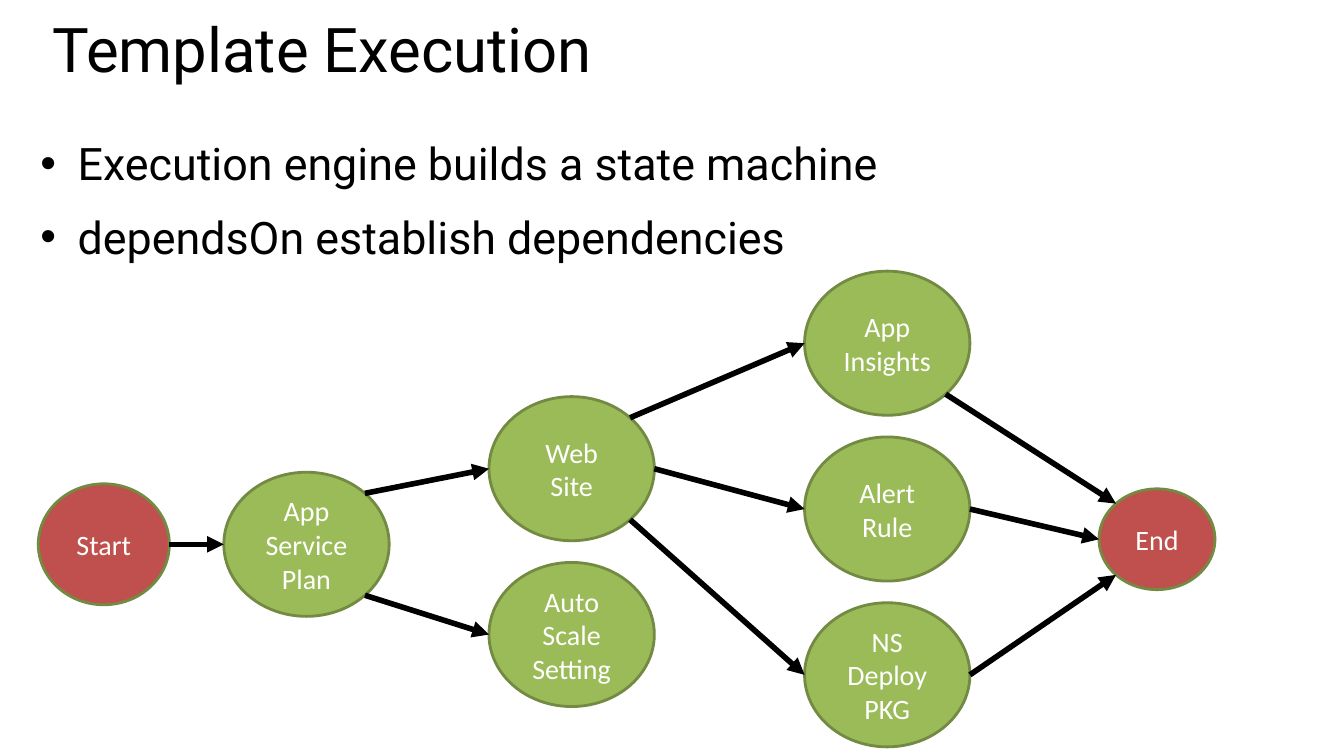
"""Build the Template Execution slide with its state machine diagram."""
from math import cos, radians, sin

from pptx import Presentation
from pptx.dml.color import RGBColor as Rgb
from pptx.enum.shapes import MSO_CONNECTOR as Conn, MSO_SHAPE as Shape
from pptx.enum.text import MSO_ANCHOR as Anchor, MSO_AUTO_SIZE as Fit, PP_ALIGN as Align
from pptx.oxml.ns import qn
from pptx.util import Inches, Pt

TITLE = "Template Execution"
POINTS = ["Execution engine builds a state machine", "dependsOn establish dependencies"]
COLORS = {"ink": "000000", "text": "FFFFFF", "edge": "738A42", "step": "9BBB59", "stop": "C0504D"}
SIZE = (13.33, 7.5)
STEP = (1.64, 1.43)
COLS = [1.03, 3.04, 5.67, 8.8, 11.475]
ROW = 1.645

# name: (text, column, middle, size, fill)
NODES = {
    "start": ("Start", 0, 5.4, (1.3, 1.2), "stop"),
    "plan": ("App Service Plan", 1, 5.4, STEP, "step"),
    "end": ("End", 4, 5.35, (1.15, 1), "stop"),
    "scale": ("Auto Scale Setting", 2, 4.65 + ROW, STEP, "step"),
    "site": ("Web\nSite", 2, 4.65, STEP, "step"),
    "alert": ("Alert Rule", 3, 5.05, STEP, "step"),
    "app": ("App Insights", 3, 5.05 - ROW, STEP, "step"),
    "pkg": ("NS Deploy PKG", 3, 5.05 + ROW, STEP, "step"),
}
EAST, SOUTHEAST, SOUTHWEST, WEST, NORTHWEST, NORTHEAST = 0, 45, 135, 180, 225, 315
LINKS = [
    ("start", EAST, "plan", WEST),
    ("plan", SOUTHEAST, "scale", WEST),
    ("plan", NORTHEAST, "site", WEST),
    ("site", NORTHEAST, "app", WEST),
    ("site", EAST, "alert", WEST),
    ("site", SOUTHEAST, "pkg", WEST),
    ("alert", EAST, "end", WEST),
    ("app", SOUTHEAST, "end", NORTHWEST),
    ("pkg", EAST, "end", SOUTHWEST),
]


def place(shape, *box):
    shape.left, shape.top, shape.width, shape.height = map(Inches, box)


def style(frame, font, size, color, align):
    for para in frame.paragraphs:
        para.alignment = align
        for run in para.runs:
            run.font.name, run.font.size = font, Pt(size)
            run.font.color.rgb = Rgb.from_string(COLORS[color])


def fill_holder(holder, text, box, size):
    place(holder, *box)
    frame = holder.text_frame
    frame.text = text
    frame.auto_size = Fit.NONE
    frame.vertical_anchor = Anchor.TOP
    style(frame, "Roboto", size, "ink", Align.LEFT)
    return frame.paragraphs


def add_node(slide, text, col, mid, size, fill):
    wide, high = size
    box = (COLS[col] - wide / 2, mid - high / 2, wide, high)
    node = slide.shapes.add_shape(Shape.OVAL, *map(Inches, box))
    node.shadow.inherit = False
    node.fill.solid()
    node.fill.fore_color.rgb = Rgb.from_string(COLORS[fill])
    node.line.color.rgb = Rgb.from_string(COLORS["edge"])
    node.line.width = Pt(2)
    frame = node.text_frame
    frame.text = text
    frame.word_wrap = True
    frame.vertical_anchor = Anchor.MIDDLE
    style(frame, "Calibri", 20, "text", Align.CENTER)


def rim(name, angle):
    _, col, mid, (wide, high), _ = NODES[name]
    turn = radians(angle)
    return Inches(COLS[col] + wide / 2 * cos(turn)), Inches(mid + high / 2 * sin(turn))


def add_link(slide, tail, exit, head, entry):
    link = slide.shapes.add_connector(Conn.STRAIGHT, *rim(tail, exit), *rim(head, entry))
    link.line.color.rgb = Rgb.from_string(COLORS["ink"])
    link.line.width = Pt(4)
    line = link.line._get_or_add_ln()
    line.append(line.makeelement(qn("a:tailEnd"), {"type": "triangle"}))
    props = link._element.spPr
    props.append(props.makeelement(qn("a:effectLst"), {}))


def main():
    deck = Presentation()
    deck.slide_width, deck.slide_height = map(Inches, SIZE)
    slide = deck.slides.add_slide(deck.slide_layouts[1])
    title, body = slide.placeholders
    fill_holder(title, TITLE, (0.42, 0.2, 12.6, 1.16), 44)[0].line_spacing = 0.8
    for para in fill_holder(body, "\n".join(POINTS), (0.3, 1.3, 12.74, 1.52), 32):
        para.space_before = Pt(14)
        props = para._p.get_or_add_pPr()
        props.set("marL", str(Inches(0.37)))
        props.set("indent", str(Inches(-0.37)))
    for node in NODES.values():
        add_node(slide, *node)
    for link in LINKS:
        add_link(slide, *link)
    deck.save("out.pptx")


if __name__ == "__main__":
    main()
